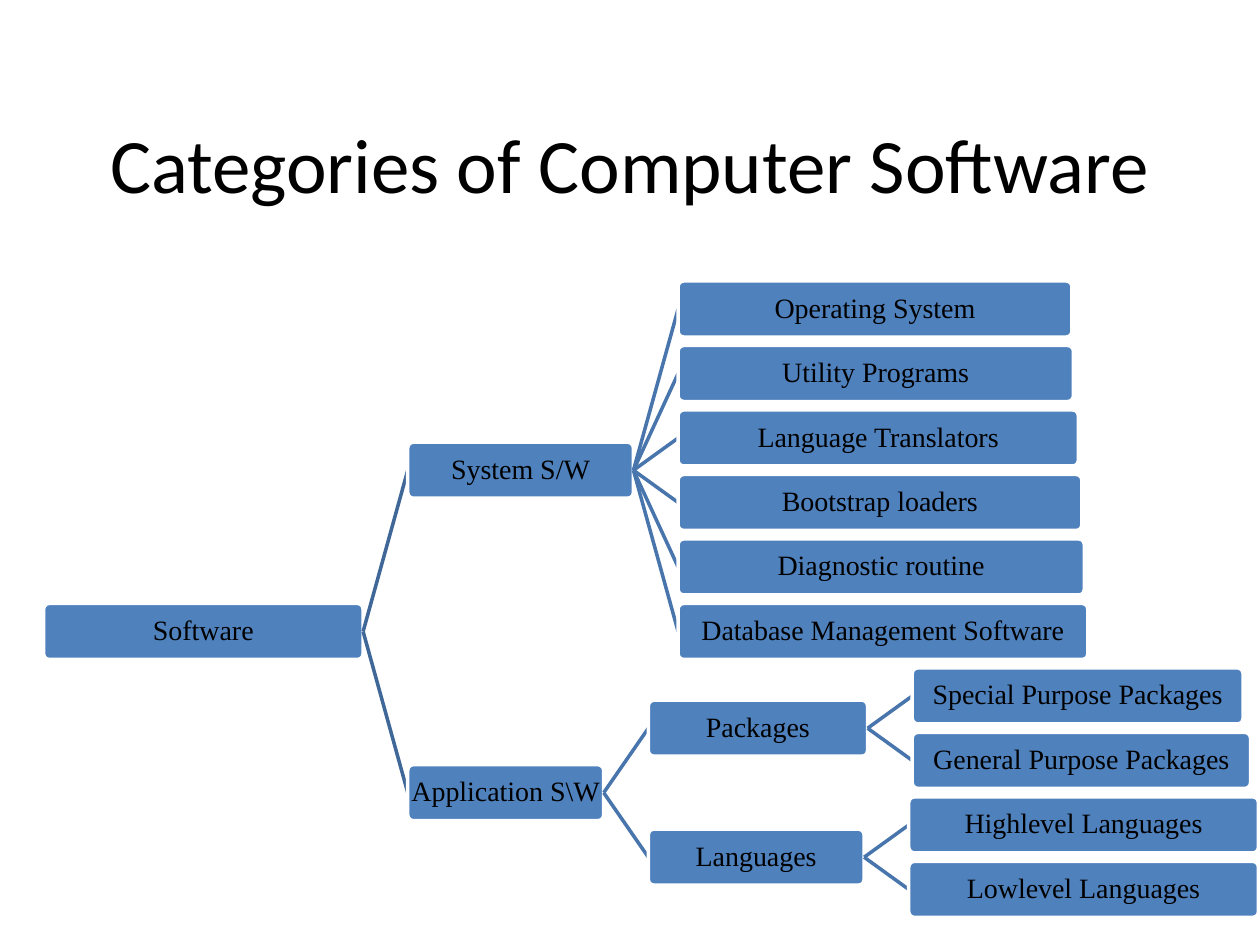
from dataclasses import dataclass

from lxml.etree import SubElement
from pptx import Presentation
from pptx.dml.color import RGBColor
from pptx.enum.shapes import MSO_CONNECTOR, MSO_SHAPE
from pptx.enum.text import MSO_ANCHOR, PP_ALIGN
from pptx.oxml.ns import qn
from pptx.util import Cm, Pt


@dataclass(frozen=True)
class Theme:
    text: RGBColor = RGBColor.from_string("000000")
    fill: RGBColor = RGBColor.from_string("4F81BD")
    outline: RGBColor = RGBColor.from_string("FFFFFF")
    root_link: RGBColor = RGBColor.from_string("3F6797")
    branch_link: RGBColor = RGBColor.from_string("4875AC")
    title_font: str = "Calibri"
    node_font: str = "Times New Roman"
    title_size: Pt = Pt(44)
    node_size: Pt = Pt(16)
    line_width: Pt = Pt(2)


@dataclass(frozen=True)
class Node:
    label: str
    width: float
    children: tuple = ()


SOFTWARE = Node("Software", 6.44, (
    Node("System S/W", 4.55, (
        Node("Operating System", 7.94),
        Node("Utility Programs", 7.97),
        Node("Language Translators", 8.07),
        Node("Bootstrap loaders", 8.14),
        Node("Diagnostic routine", 8.19),
        Node("Database Management Software", 8.26),
    )),
    Node("Application S\\W", 3.95, (
        Node("Packages", 4.42, (
            Node("Special Purpose Packages", 6.67),
            Node("General Purpose Packages", 6.82),
        )),
        Node("Languages", 4.35, (
            Node("Highlevel Languages", 7.05),
            Node("Lowlevel Languages", 7.05),
        )),
    )),
))

TREE_LEFT = 0.88
FIRST_ROW = 6.23
ROW_PITCH = 1.3
NODE_HEIGHT = 1.13
LEVEL_GAP = 0.9


def count_leaves(node):
    return sum(map(count_leaves, node.children)) or 1


def middle_row(node, first_row=0):
    if not node.children:
        return first_row
    last = node.children[-1]
    last_start = first_row + count_leaves(node) - count_leaves(last)
    return (middle_row(node.children[0], first_row) + middle_row(last, last_start)) / 2


class SlideBuilder:
    def __init__(self, page, theme):
        self.page = page
        self.theme = theme

    def add_text(self, para, text, font, size):
        para.alignment = PP_ALIGN.CENTER
        span = para.add_run()
        span.text = text
        span.font.name = font
        span.font.size = size
        span.font.color.rgb = self.theme.text

    def title(self, text):
        box = self.page.shapes.title
        box.left, box.top, box.width, box.height = Cm(1.27), Cm(1.69), Cm(22.86), Cm(3.18)
        box.text_frame.vertical_anchor = MSO_ANCHOR.MIDDLE
        self.add_text(box.text_frame.paragraphs[0], text,
                      self.theme.title_font, self.theme.title_size)

    def node(self, text, left, middle, width):
        box = self.page.shapes.add_shape(
            MSO_SHAPE.ROUNDED_RECTANGLE,
            Cm(left), Cm(middle - NODE_HEIGHT / 2), Cm(width), Cm(NODE_HEIGHT))
        box.adjustments[0] = 0.1
        box.shadow.inherit = False
        box.fill.solid()
        box.fill.fore_color.rgb = self.theme.fill
        box.line.color.rgb = self.theme.outline
        box.line.width = self.theme.line_width
        frame = box.text_frame
        frame.word_wrap = True
        frame.vertical_anchor = MSO_ANCHOR.MIDDLE
        frame.margin_left = frame.margin_right = frame.margin_top = frame.margin_bottom = 0
        para = frame.paragraphs[0]
        para.line_spacing = 0.9
        self.add_text(para, text, self.theme.node_font, self.theme.node_size)

    def link(self, start, end, color):
        line = self.page.shapes.add_connector(
            MSO_CONNECTOR.STRAIGHT, *map(Cm, start), *map(Cm, end))
        line.line.color.rgb = color
        line.line.width = self.theme.line_width
        SubElement(line._element.spPr, qn("a:effectLst"))

    def tree(self, node, left, first_row=0, level=0):
        middle = FIRST_ROW + middle_row(node, first_row) * ROW_PITCH
        self.node(node.label, left, middle, node.width)
        right = left + node.width
        child_left = right + LEVEL_GAP
        color = self.theme.branch_link if level else self.theme.root_link
        for child in node.children:
            child_middle = FIRST_ROW + middle_row(child, first_row) * ROW_PITCH
            self.link((right, middle), (child_left, child_middle), color)
            self.tree(child, child_left, first_row, level + 1)
            first_row += count_leaves(child)


def main():
    deck = Presentation()
    deck.slide_width, deck.slide_height = Cm(25.4), Cm(19.05)
    page = deck.slides.add_slide(deck.slide_layouts.get_by_name("Title Only"))
    builder = SlideBuilder(page, Theme())
    builder.title("Categories of Computer Software")
    builder.tree(SOFTWARE, TREE_LEFT)
    deck.save("out.pptx")


if __name__ == "__main__":
    main()
